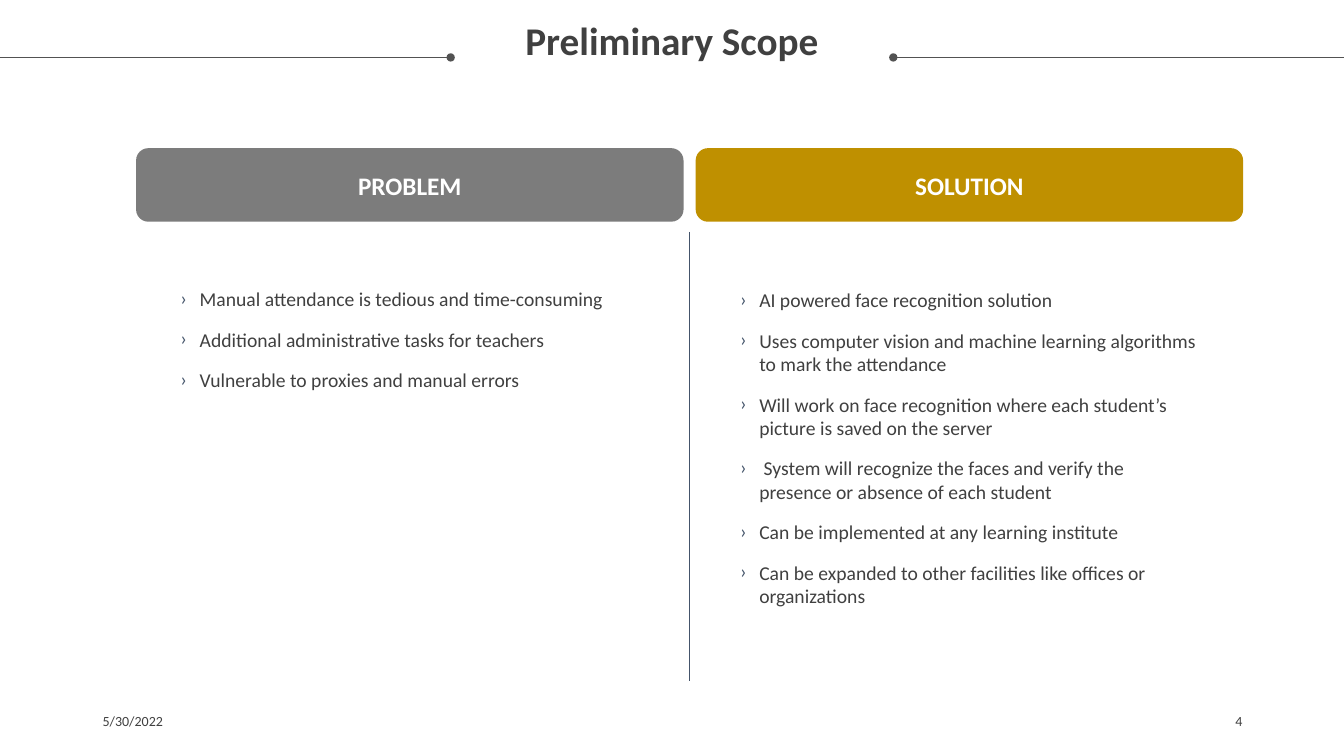
from lxml.etree import SubElement
from pptx import Presentation
from pptx.dml.color import RGBColor
from pptx.enum.shapes import MSO_CONNECTOR, MSO_SHAPE
from pptx.enum.text import MSO_ANCHOR, MSO_AUTO_SIZE, PP_ALIGN
from pptx.oxml.ns import qn
from pptx.util import Inches, Pt

FONT = "Calibri"
INK = RGBColor(0x40, 0x40, 0x40)
RULE = RGBColor(0x52, 0x52, 0x52)
SLATE = RGBColor(0x44, 0x54, 0x6A)
GRAY = RGBColor(0x7C, 0x7C, 0x7C)
GOLD = RGBColor(0xBF, 0x90, 0x00)
WHITE = RGBColor(0xFF, 0xFF, 0xFF)

WIDTH = 13.33
RULE_Y = 0.57
HANG = Inches(0.19)

PROBLEMS = [
    "Manual attendance is tedious and time-consuming",
    "Additional administrative tasks for teachers",
    "Vulnerable to proxies and manual errors",
]
SOLUTIONS = [
    "AI powered face recognition solution",
    "Uses computer vision and machine learning algorithms to mark the attendance",
    "Will work on face recognition where each student’s picture is saved on the server",
    " System will recognize the faces and verify the presence or absence of each student",
    "Can be implemented at any learning institute",
    "Can be expanded to other facilities like offices or organizations",
]


def set_font(para, size, color=INK, bold=False):
    font = para.font
    font.name, font.size, font.bold = FONT, Pt(size), bold
    font.color.rgb = color


def add_box(slide, left, top, width, height):
    box = slide.shapes.add_textbox(
        Inches(left), Inches(top), Inches(width), Inches(height))
    box.text_frame.word_wrap = True
    return box.text_frame


def fit_tight(frame):
    """Drop the insets and let the box grow with its text."""
    frame.margin_left = frame.margin_right = 0
    frame.margin_top = frame.margin_bottom = 0
    frame.auto_size = MSO_AUTO_SIZE.SHAPE_TO_FIT_TEXT


def add_title(slide, text):
    frame = add_box(slide, 0.25, 0.21, 12.83, 0.42)
    fit_tight(frame)
    para = frame.paragraphs[0]
    para.text = text
    para.alignment = PP_ALIGN.CENTER
    para.line_spacing = 0.9
    set_font(para, 28, bold=True)


def add_footer(slide, left, text, align):
    frame = add_box(slide, left, 6.95, 3, 0.4)
    frame.vertical_anchor = MSO_ANCHOR.MIDDLE
    para = frame.paragraphs[0]
    para.text = text
    para.alignment = align
    set_font(para, 10)


def add_line(slide, start, end, color, dot=None):
    """Draw a thin line; dot is "headEnd" or "tailEnd" for a round tip."""
    line = slide.shapes.add_connector(
        MSO_CONNECTOR.STRAIGHT, *map(Inches, start + end))
    line.line.color.rgb = color
    line.line.width = Pt(0.5)
    props = line._element.spPr
    if dot:
        SubElement(props.find(qn("a:ln")), qn("a:" + dot), type="oval")
    SubElement(props, qn("a:effectLst"))


def add_header(slide, left, text, color):
    shape = slide.shapes.add_shape(
        MSO_SHAPE.ROUNDED_RECTANGLE,
        Inches(left), Inches(1.47), Inches(5.43), Inches(0.73))
    shape.shadow.inherit = False
    shape.fill.solid()
    shape.fill.fore_color.rgb = color
    shape.line.fill.background()
    shape.text_frame.vertical_anchor = MSO_ANCHOR.MIDDLE
    para = shape.text_frame.paragraphs[0]
    para.text = text
    para.alignment = PP_ALIGN.CENTER
    set_font(para, 18, WHITE, True)


def add_bullet(para):
    props = para._p.get_or_add_pPr()
    props.set("marL", str(HANG))
    props.set("indent", str(-HANG))
    color = SubElement(props, qn("a:buClr"))
    SubElement(color, qn("a:srgbClr"), val=str(SLATE))
    SubElement(props, qn("a:buFont"), typeface=FONT)
    SubElement(props, qn("a:buChar"), char="›")


def add_list(slide, left, top, height, items):
    frame = add_box(slide, left, top, 4.55, height)
    fit_tight(frame)
    for i, item in enumerate(items):
        para = frame.add_paragraph() if i else frame.paragraphs[0]
        para.text = item
        para.space_before = Pt(12)
        add_bullet(para)
        set_font(para, 14)


def main():
    deck = Presentation()
    deck.slide_width, deck.slide_height = Inches(WIDTH), Inches(7.5)
    slide = deck.slides.add_slide(deck.slide_layouts[6])

    add_footer(slide, 0.92, "5/30/2022", PP_ALIGN.LEFT)
    add_footer(slide, 9.42, "4", PP_ALIGN.RIGHT)
    add_line(slide, (8.86, RULE_Y), (WIDTH, RULE_Y), RULE, "headEnd")
    add_title(slide, "Preliminary Scope")
    add_line(slide, (0, RULE_Y), (4.47, RULE_Y), RULE, "tailEnd")

    add_header(slide, 1.35, "PROBLEM", GRAY)
    add_header(slide, 6.9, "SOLUTION", GOLD)
    add_line(slide, (6.84, 2.3), (6.84, 6.76), SLATE)
    add_list(slide, 1.79, 2.85, 1.04, PROBLEMS)
    add_list(slide, 7.34, 2.86, 3.2, SOLUTIONS)

    deck.save("out.pptx")


if __name__ == "__main__":
    main()
